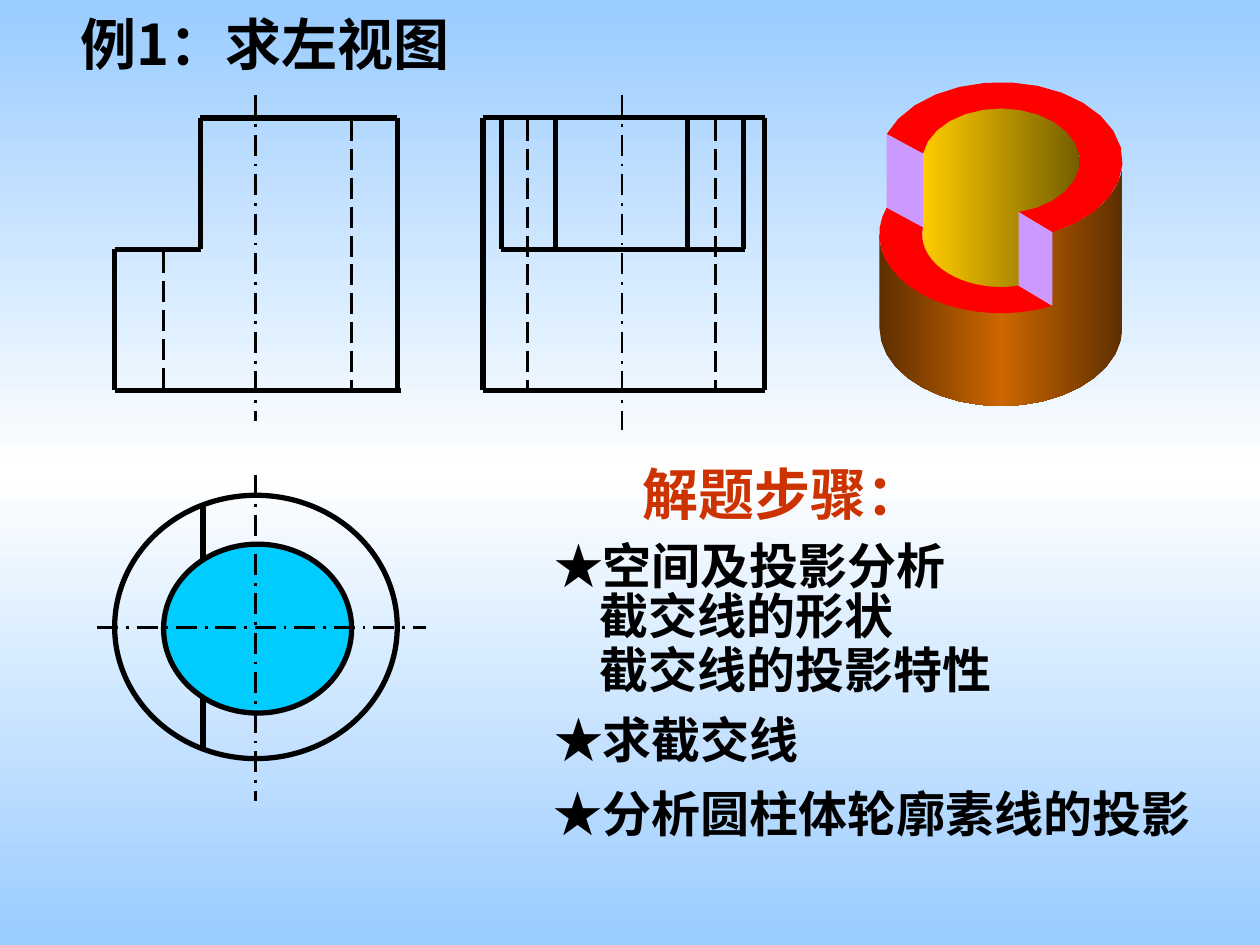
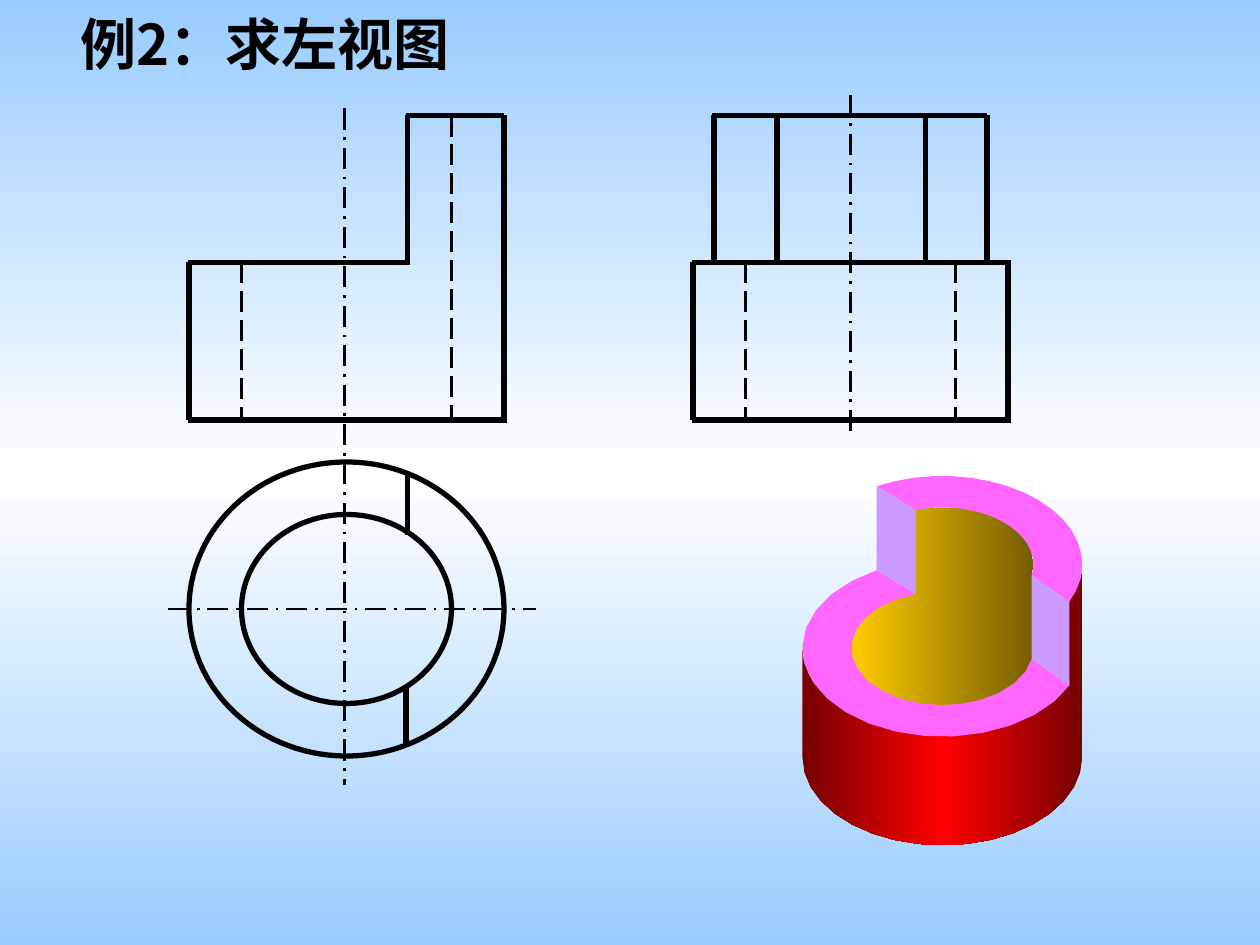
from copy import deepcopy
from dataclasses import dataclass
from math import cos, radians, sin

from lxml import etree
from pptx import Presentation
from pptx import util as u
from pptx.dml.color import RGBColor
from pptx.enum import dml, shapes, text
from pptx.oxml.ns import qn


@dataclass(frozen=True)
class Theme:
    font: str = "Noto Sans CJK SC"
    title_size: int = 32
    body_size: int = 28
    ink: str = "000000"
    accent: str = "CC3300"
    sky: tuple = ("99CCFF", "FFFFFF", "99CCFF")
    bronze: tuple = ("5E2F00", "CC6600", "5E2F00")
    crimson: tuple = ("760000", "FF0000", "760000")
    gold: tuple = ("FFCC00", "765E00")
    red: str = "FF0000"
    pink: str = "FF66FF"
    violet: str = "CC99FF"
    cyan: str = "00CCFF"
    edge_width: float = 3
    thin_width: float = 1.5


theme = Theme()


def paint(fill, colours, angle=0):
    if isinstance(colours, str):
        fill.solid()
        fill.fore_color.rgb = RGBColor.from_string(colours)
        return
    fill.gradient()
    fill.gradient_angle = angle
    stop_list = fill.gradient_stops[0]._gs.getparent()
    while len(stop_list) < len(colours):
        stop_list.append(deepcopy(stop_list[-1]))
    for index, (stop, colour) in enumerate(zip(fill.gradient_stops, colours)):
        stop.position = index / (len(colours) - 1)
        stop.color.rgb = RGBColor.from_string(colour)


def arc(centre_x, centre_y, radii, start, end, steps=18):
    turns = [radians(start + (end - start) * step / steps) for step in range(steps + 1)]
    return [(centre_x + radii[0] * cos(turn), centre_y + radii[1] * sin(turn)) for turn in turns]


examples = [
    {
        "edges": {
            "rows": [(67.5, 114.5, 227), (142.5, 65.5, 115), (223, 65.5, 229),
                     (67, 276, 437), (142.5, 286.5, 426), (223, 276, 437)],
            "columns": [(67.5, 142.5, (114.5, 286.5, 317.5, 393, 425)),
                        (67.5, 223, (227, 276, 437)), (142.5, 223, (65.5,)),
                        (289.5, 429, (116,))],
        },
        "hidden": {"rows": [], "columns": [(144, 224, (93.5,)), (68.5, 224, (201, 301.5, 409))]},
        "axes": {
            "rows": [(358.5, 55.5, 243.5)],
            "columns": [(54.5, 240.5, (146,)), (54.5, 246, (355.5,)), (271.5, 458, (146,))],
        },
        "circles": [(None, (65.5, 283, 161.5, 150.5)), (theme.cyan, (93.5, 311, 107.5, 96.5))],
        "solid": {"x": 572, "levels": (92, 134, 187), "outer": (69.5, 45), "inner": (45, 30),
                  "outer_cut": (200, 65), "inner_cut": (188, 77),
                  "wall": theme.bronze, "ring": theme.red},
    },
    {
        "edges": {
            "rows": [(66, 232, 288), (150, 107.5, 234.5), (240, 107.5, 289.5),
                     (66, 407, 564), (150, 395.5, 578), (240, 395.5, 578)],
            "columns": [(66, 150, (233, 408, 444, 529, 564)), (66, 240, (288,)),
                        (150, 240, (108, 396, 576)),
                        (269.5, 305.5, (233,)), (391.5, 426, (232,))],
        },
        "hidden": {"rows": [], "columns": [(150, 240, (138, 426, 546)), (66, 240, (258,))]},
        "axes": {
            "rows": [(348, 96, 306)],
            "columns": [(62, 448.5, (197,)), (54, 250.5, (486,))],
        },
        "circles": [(None, (138, 294, 120, 108)), (None, (108, 264, 180, 168))],
        "solid": {"x": 538.5, "levels": (322.5, 370.5, 432.5), "outer": (80, 50.5),
                  "inner": (52, 32.5), "outer_cut": (242, 25), "inner_cut": (253, 11),
                  "wall": theme.crimson, "ring": theme.pink},
    },
]

steps = [
    ("★空间及投影分析", (309.5, 302.5, 292, 41)),
    ("截交线的形状", (335.5, 331, 186, 41)),
    ("截交线的投影特性", (335.5, 361.5, 242, 41)),
    ("★求截交线", (309.5, 402, 240, 41)),
    ("★分析圆柱体轮廓素线的投影", (309.5, 444, 410, 41)),
]
top, middle = text.MSO_ANCHOR.TOP, text.MSO_ANCHOR.MIDDLE
left, centre = text.PP_ALIGN.LEFT, text.PP_ALIGN.CENTER
guide = [("解题步骤：", (357, 258.5, 180, 46), theme.title_size, theme.accent, middle, centre)]
guide += [(words, place, theme.body_size, theme.ink, middle, left) for words, place in steps]

line_styles = [
    ("edges", theme.edge_width, dml.MSO_LINE.SOLID),
    ("hidden", theme.thin_width, dml.MSO_LINE.LONG_DASH),
    ("axes", theme.thin_width, dml.MSO_LINE.LONG_DASH_DOT),
]

deck = Presentation()
deck.slide_width, deck.slide_height = u.Pt(720), u.Pt(540)
blank = deck.slide_layouts[6]

for number, example in enumerate(examples, 1):
    page = deck.slides.add_slide(blank)
    paint(page.background.fill, theme.sky, 270)

    solid = example["solid"]
    x, (upper, lower, base) = solid["x"], solid["levels"]
    outer, inner = solid["outer"], solid["inner"]
    outer_start, outer_end = solid["outer_cut"]
    inner_start, inner_end = solid["inner_cut"]
    faces = [
        (theme.gold, arc(x, upper, inner, inner_start, inner_end + 360)
         + arc(x, lower, inner, inner_end, inner_start)),
        (solid["wall"], arc(x, lower, outer, 180, outer_end)
         + arc(x, upper, outer, outer_end, 0) + arc(x, base, outer, 0, 180)),
        (solid["ring"], arc(x, lower, outer, outer_start, outer_end)
         + arc(x, lower, inner, inner_end, inner_start)),
        (solid["ring"], arc(x, upper, outer, outer_start, outer_end + 360)
         + arc(x, upper, inner, inner_end + 360, inner_start)),
    ]
    for outer_turn, inner_turn in zip(solid["outer_cut"], solid["inner_cut"]):
        corners = [(upper, outer, outer_turn), (upper, inner, inner_turn),
                   (lower, inner, inner_turn), (lower, outer, outer_turn)]
        faces.append((theme.violet, [arc(x, level, radii, turn, turn, 1)[0]
                                     for level, radii, turn in corners]))
    for colours, outline in faces:
        points = [(u.Pt(across), u.Pt(down)) for across, down in outline]
        builder = page.shapes.build_freeform(*points[0])
        builder.add_line_segments(points[1:], close=True)
        face = builder.convert_to_shape()
        face.shadow.inherit = False
        face.line.fill.background()
        paint(face.fill, colours)

    for kind, width, dash in line_styles:
        lines = [(start, y, end, y) for y, start, end in example[kind]["rows"]]
        lines += [(column, start, column, end)
                  for start, end, columns in example[kind]["columns"] for column in columns]
        for ends in lines:
            line = page.shapes.add_connector(shapes.MSO_CONNECTOR.STRAIGHT, *map(u.Pt, ends))
            line.line.color.rgb = RGBColor.from_string(theme.ink)
            line.line.width = u.Pt(width)
            line.line.dash_style = dash
            etree.SubElement(line._element.spPr, qn("a:effectLst"))
        if kind == "edges":
            for colour, place in example["circles"]:
                circle = page.shapes.add_shape(shapes.MSO_SHAPE.OVAL, *map(u.Pt, place))
                circle.shadow.inherit = False
                circle.line.color.rgb = RGBColor.from_string(theme.ink)
                circle.line.width = u.Pt(width)
                if colour:
                    paint(circle.fill, colour)
                else:
                    circle.fill.background()

    title = (f"例{number}：求左视图", (39, 2, 238, 46), theme.title_size, theme.ink, top, left)
    for words, place, size, colour, anchor, align in [title] + (guide if number == 1 else []):
        box = page.shapes.add_textbox(*map(u.Pt, place))
        frame = box.text_frame
        frame.word_wrap = True
        frame.auto_size = text.MSO_AUTO_SIZE.SHAPE_TO_FIT_TEXT
        frame.vertical_anchor = anchor
        para = frame.paragraphs[0]
        para.text = words
        para.alignment = align
        font = para.font
        font.size = u.Pt(size)
        font.bold = True
        font.color.rgb = RGBColor.from_string(colour)
        font.name = theme.font
        etree.SubElement(font._rPr, qn("a:ea"), typeface=theme.font)

deck.save("out.pptx")
